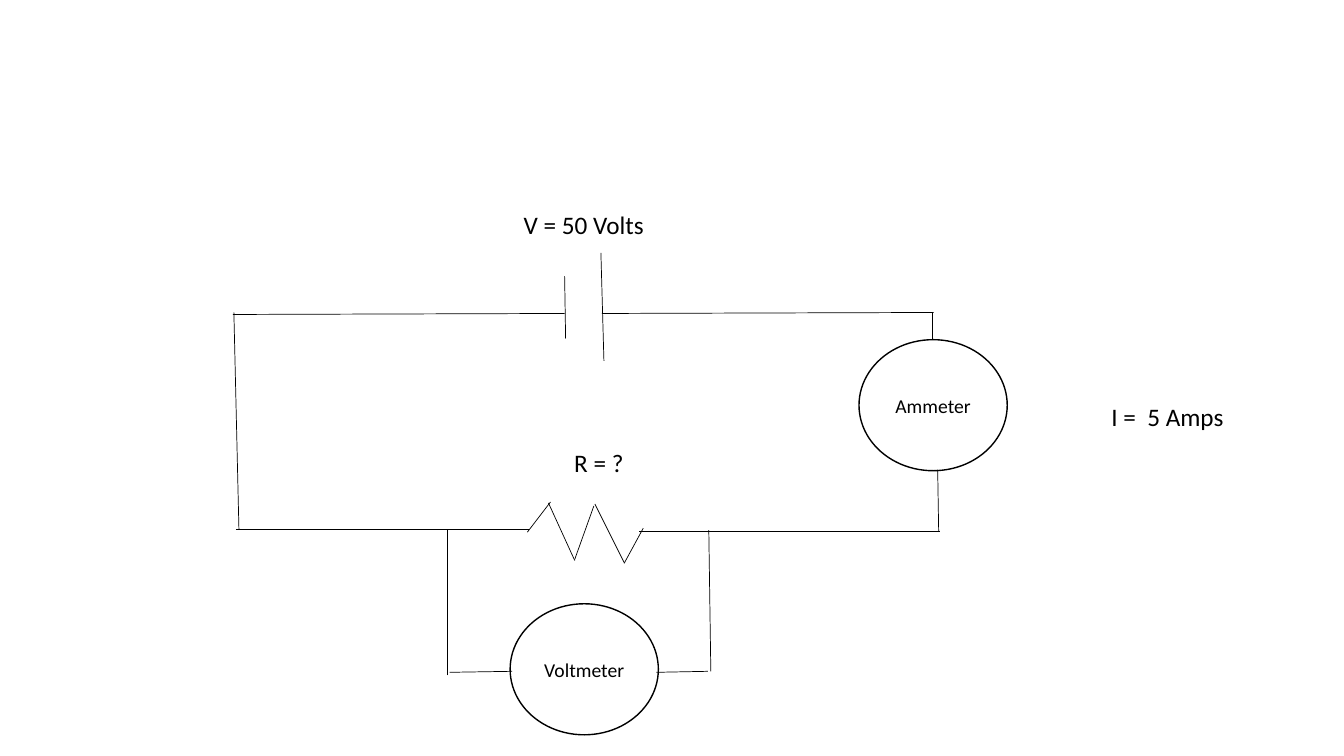
from pptx import Presentation
from pptx.dml.color import RGBColor
from pptx.enum.shapes import MSO_CONNECTOR, MSO_SHAPE
from pptx.enum.text import MSO_ANCHOR, PP_ALIGN
from pptx.oxml.ns import qn
from pptx.util import Inches, Pt
from lxml.etree import SubElement


def color(hex_string):
    return RGBColor.from_string(hex_string)


def write(shape, text, size=18, font="Calibri", ink="000000", anchor=MSO_ANCHOR.TOP, wrap=True):
    frame = shape.text_frame
    frame.word_wrap = wrap
    frame.vertical_anchor = anchor
    paragraph = frame.paragraphs[0]
    paragraph.alignment = PP_ALIGN.CENTER
    run = paragraph.add_run()
    run.text = text
    run.font.size = Pt(size)
    run.font.name = font
    run.font.color.rgb = color(ink)


class CircuitSlide:
    """Draws circuit elements on one slide in a shared style."""

    ink = "000000"
    paper = "FFFFFF"
    meter_size = (1.47, 1.3)
    label_size = (3, 0.4)

    def __init__(self, slide):
        self.slide = slide

    def wire(self, start, end):
        connector = self.slide.shapes.add_connector(
            MSO_CONNECTOR.STRAIGHT, *map(Inches, (*start, *end)))
        connector.line.color.rgb = color(self.ink)
        connector.line.width = Pt(0.5)
        SubElement(connector._element.spPr, qn("a:effectLst"))

    def label(self, left, top, text):
        box = self.slide.shapes.add_textbox(*map(Inches, (left, top, *self.label_size)))
        write(box, text, ink=self.ink)

    def meter(self, left, top, name):
        circle = self.slide.shapes.add_shape(
            MSO_SHAPE.OVAL, *map(Inches, (left, top, *self.meter_size)))
        circle.shadow.inherit = False
        circle.fill.solid()
        circle.fill.fore_color.rgb = color(self.paper)
        circle.line.color.rgb = color(self.ink)
        circle.line.width = Pt(1)
        write(circle, name, size=14, ink=self.ink, anchor=MSO_ANCHOR.MIDDLE, wrap=False)


presentation = Presentation()
presentation.slide_width = Inches(13.33)
presentation.slide_height = Inches(7.5)
circuit = CircuitSlide(presentation.slides.add_slide(presentation.slide_layouts[6]))

battery = [((5.6, 2.74), (5.61, 3.36)), ((5.96, 2.51), (5.99, 3.58))]
main_loop = [
    ((5.97, 3.11), (9.26, 3.1)),
    ((9.25, 3.64), (9.25, 3.1)),
    ((6.34, 5.27), (9.32, 5.27)),
    ((2.31, 3.12), (5.6, 3.11)),
    ((2.37, 5.25), (2.32, 3.1)),
    ((2.34, 5.25), (5.25, 5.25)),
]
resistor = [
    ((5.23, 5.28), (5.46, 4.98)),
    ((5.44, 4.99), (5.7, 5.56)),
    ((5.7, 5.55), (5.89, 5.02)),
    ((5.9, 5), (6.19, 5.58)),
    ((6.19, 5.59), (6.38, 5.24)),
]
meter_leads = [
    ((9.31, 5.27), (9.3, 4.66)),
    ((7.05, 6.66), (7.03, 5.26)),
    ((4.44, 6.7), (4.44, 5.25)),
    ((7.02, 6.66), (6.51, 6.67)),
    ((5.08, 6.66), (4.46, 6.67)),
]

for start, end in battery + main_loop + resistor:
    circuit.wire(start, end)

circuit.label(4.29, 2.03, "V = 50 Volts")
circuit.label(4.44, 4.39, "R = ?")
circuit.label(10.08, 3.93, "I = \u00a05 Amps")

circuit.meter(5.06, 5.99, "Voltmeter")
circuit.meter(8.52, 3.37, "Ammeter")

for start, end in meter_leads:
    circuit.wire(start, end)

presentation.save("out.pptx")
